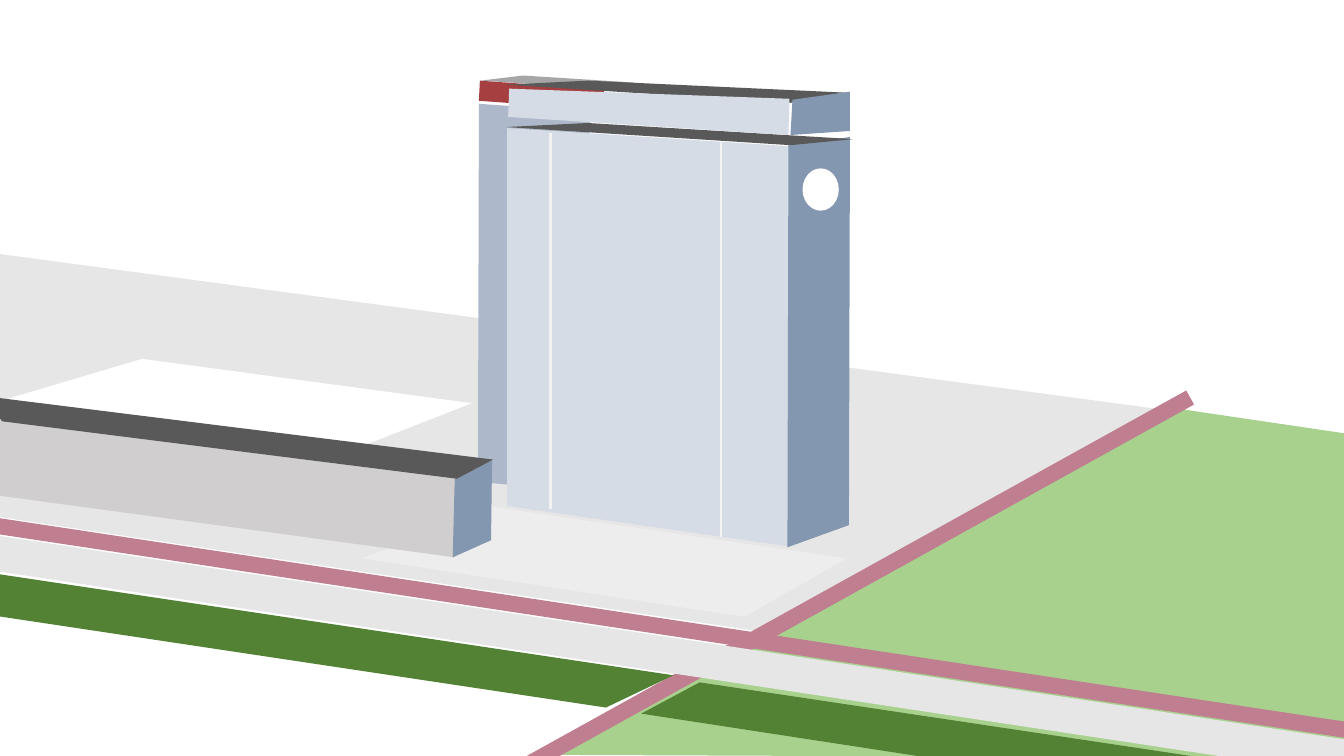
"""Draw a tower block and its grounds in perspective."""
from dataclasses import dataclass
from math import cos, radians, sin

from lxml import etree
from pptx import Presentation
from pptx.dml.color import RGBColor
from pptx.enum.shapes import MSO_CONNECTOR, MSO_SHAPE
from pptx.oxml.ns import qn
from pptx.shapes.autoshape import Shape
from pptx.shapes.connector import Connector
from pptx.slide import Slide
from pptx.util import Inches, Pt

RECT = MSO_SHAPE.RECTANGLE
OVAL = MSO_SHAPE.OVAL
LINE = MSO_CONNECTOR.STRAIGHT
Point = tuple[float, float]


@dataclass(frozen=True)
class Theme:
    white: str = "FFFFFF"
    ground: str = "E7E6E6"
    plaza: str = "EDEDED"
    lawn: str = "A9D18E"
    hedge: str = "548235"
    path_red: str = "BF7F91"
    roof: str = "595959"
    slab: str = "A6A6A6"
    brick: str = "A64040"
    wing: str = "ADB9CA"
    front: str = "D6DCE5"
    side: str = "8497B0"
    wall: str = "D0CECE"
    seam: str = "F2F2F2"
    seam_width: float = 1.5


@dataclass(frozen=True)
class Face:
    fill: str
    points: tuple[Point, ...]
    tilt: float = 0


@dataclass(frozen=True)
class Block:
    fill: str
    box: tuple[float, float, float, float]
    tilt: float = 0
    kind: MSO_SHAPE = RECT


@dataclass(frozen=True)
class Seam:
    x: float
    top: float
    base: float


T = Theme()

BACK = (
    Face(T.slab, ((5.19, 0.75), (6.3, 0.82), (5.96, 0.88), (4.77, 0.8)), 5.3),
    Face(T.brick, ((4.76, 0.8), (5.99, 0.89), (6.01, 1.09), (4.75, 1))),
    Face(T.ground, ((-0.38, 2.47), (13.82, 4.37), (13.41, 7.15), (-0.66, 5.03)), 8.6),
    Face(T.wing, ((4.75, 1.03), (5.86, 1.11), (5.58, 4.86), (4.74, 4.78))),
    Face(T.roof, ((5.83, 0.8), (8.41, 0.92), (7.84, 1.02), (5.02, 0.84)), 5.7),
)

TOWER = (
    Face(T.front, ((5.03, 1.27), (7.83, 1.45), (7.82, 5.42), (5.03, 5.02)), 3.6),
    Face(T.side, ((8.43, 1.36), (7.82, 1.44), (7.81, 5.43), (8.42, 5.21))),
    Face(T.roof, ((5.83, 1.22), (8.46, 1.38), (7.84, 1.44), (5.02, 1.26)), 5.7),
)

FRONT = (
    Face(T.lawn, ((11.65, 4.05), (13.34, 4.3), (13.33, 7.52), (5.57, 7.49))),
    Block(T.path_red, (4.55, 5.74, 7.74, 0.16), 331),
    Block(T.path_red, (-0.1, 6.16, 13.66, 0.16), 8.6),
    Face(T.front, ((5.05, 0.88), (7.83, 0.98), (7.82, 1.34), (5.04, 1.16)), 3.6),
    Block(T.ground, (-1.7, 6.22, 15.3, 0.35), 8.6),
    Face(T.hedge, ((-0.06, 5.69), (6.68, 6.7), (6.01, 7.02), (-0.71, 6.01)), 8.6),
    Face(T.plaza, ((4.9, 5.03), (8.4, 5.54), (7.38, 6.12), (3.59, 5.54)), 8.6),
    Face(T.hedge, ((6.94, 6.77), (13.68, 7.78), (13.01, 8.1), (6.36, 7.08)), 8.6),
    Face(T.wall, ((-0.02, 4.17), (4.51, 4.75), (4.51, 5.53), (-0.14, 4.9))),
    Face(T.side, ((4.88, 4.57), (4.51, 4.75), (4.49, 5.53), (4.87, 5.36))),
    Face(T.side, ((7.86, 0.99), (8.43, 0.91), (8.43, 1.3), (7.84, 1.34))),
    Block(T.white, (7.96, 1.67, 0.36, 0.42), kind=OVAL),
    Face(T.white, ((1.41, 3.56), (4.68, 4), (3.3, 4.54), (-0.14, 4.02)), 7.5),
    Face(T.roof, ((-0.16, 3.93), (4.89, 4.56), (4.53, 4.75), (0.02, 4.18)), 5.7),
)

SEAMS = (Seam(5.46, 1.32, 5.05), Seam(7.15, 1.41, 5.33))


def turn(point: Point, angle: float) -> Point:
    """Turn a point clockwise about the slide's top left corner."""
    x, y = point
    c, s = cos(radians(angle)), sin(radians(angle))
    return x * c - y * s, x * s + y * c


def paint(shape: Shape, fill: str, tilt: float) -> Shape:
    """Give a shape a flat fill and its tilt."""
    shape.shadow.inherit = False
    shape.fill.solid()
    shape.fill.fore_color.rgb = RGBColor.from_string(fill)
    shape.line.fill.background()
    shape.rotation = tilt
    return shape


def add_face(slide: Slide, face: Face) -> Shape:
    """Build a tilted outline whose corners land on the face's points."""
    flat = [turn(p, -face.tilt) for p in face.points]
    dots = [(Inches(x), Inches(y)) for x, y in flat]
    pen = slide.shapes.build_freeform(*dots[0])
    pen.add_line_segments(dots[1:], close=True)
    shape = pen.convert_to_shape()
    half_w, half_h = shape.width / 2, shape.height / 2
    x, y = turn((shape.left + half_w, shape.top + half_h), face.tilt)
    shape.left, shape.top = round(x - half_w), round(y - half_h)
    return paint(shape, face.fill, face.tilt)


def add_block(slide: Slide, block: Block) -> Shape:
    """Add a preset shape."""
    shape = slide.shapes.add_shape(block.kind, *map(Inches, block.box))
    return paint(shape, block.fill, block.tilt)


def add_seam(slide: Slide, seam: Seam) -> Connector:
    """Add an upright line on the tower's front."""
    ends = (seam.x, seam.top, seam.x, seam.base)
    line = slide.shapes.add_connector(LINE, *map(Inches, ends))
    line.line.color.rgb = RGBColor.from_string(T.seam)
    line.line.width = Pt(T.seam_width)
    etree.SubElement(line._element.spPr, qn("a:effectLst"))
    return line


def add_parts(slide: Slide, parts: tuple[Face | Block, ...]) -> list[Shape]:
    """Draw parts from back to front."""
    return [
        add_face(slide, part) if isinstance(part, Face) else add_block(slide, part)
        for part in parts
    ]


def main() -> None:
    """Build and save the slide."""
    deck = Presentation()
    deck.slide_width, deck.slide_height = Inches(13.33), Inches(7.5)
    slide = deck.slides.add_slide(deck.slide_layouts[6])
    add_parts(slide, BACK)
    slide.shapes.add_group_shape(add_parts(slide, TOWER))
    add_parts(slide, FRONT)
    for seam in SEAMS:
        add_seam(slide, seam)
    deck.save("out.pptx")


if __name__ == "__main__":
    main()
